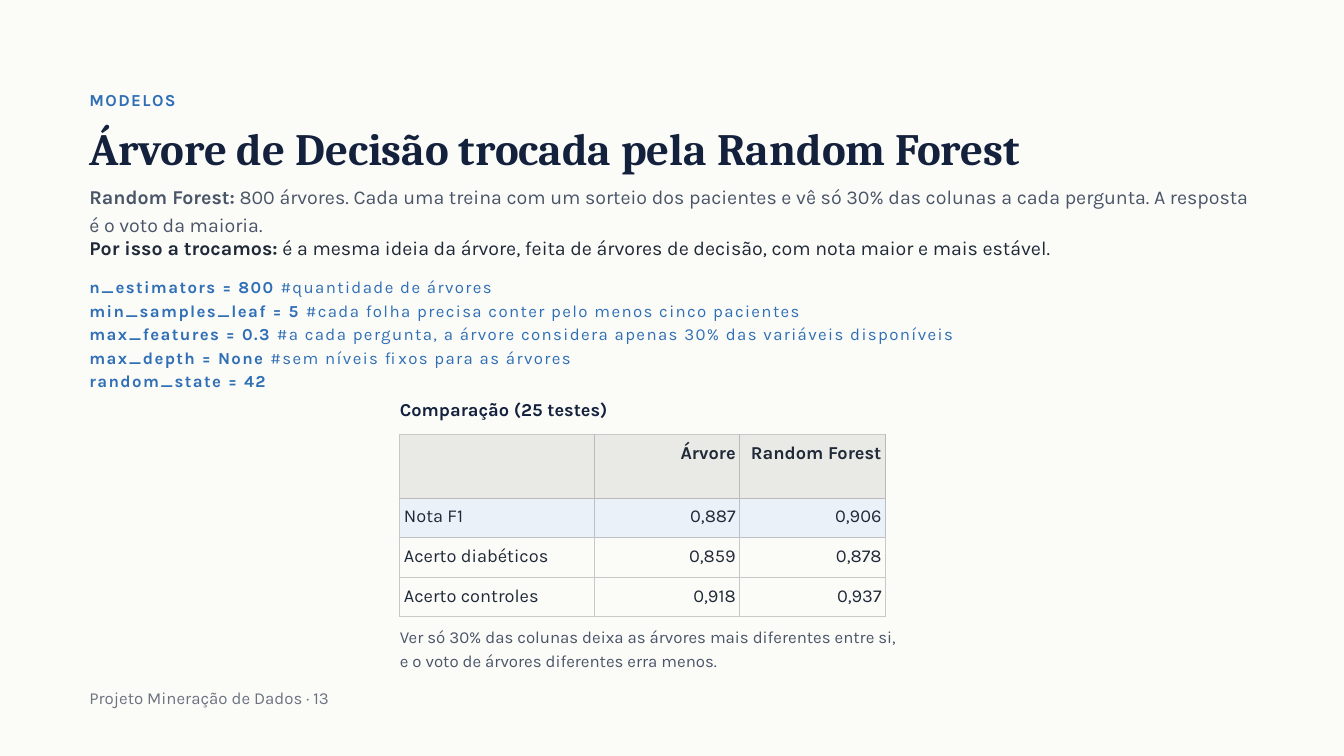
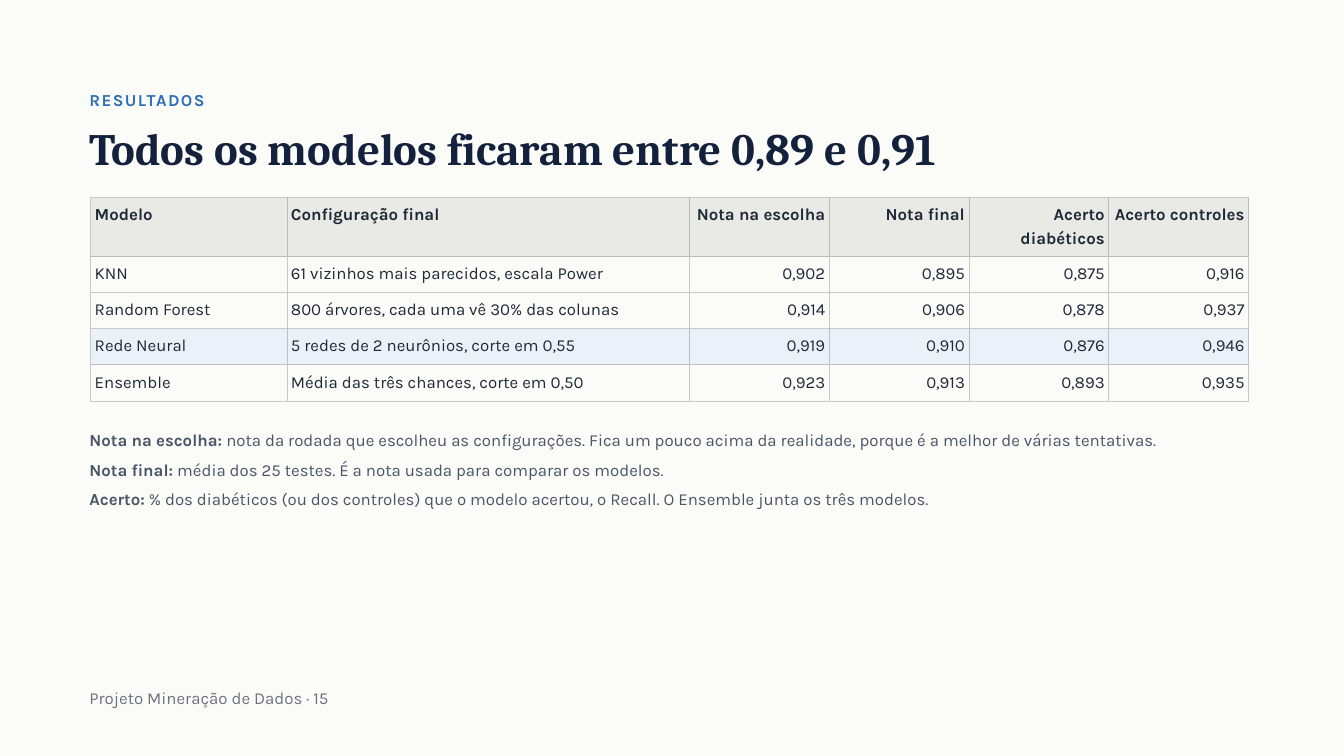
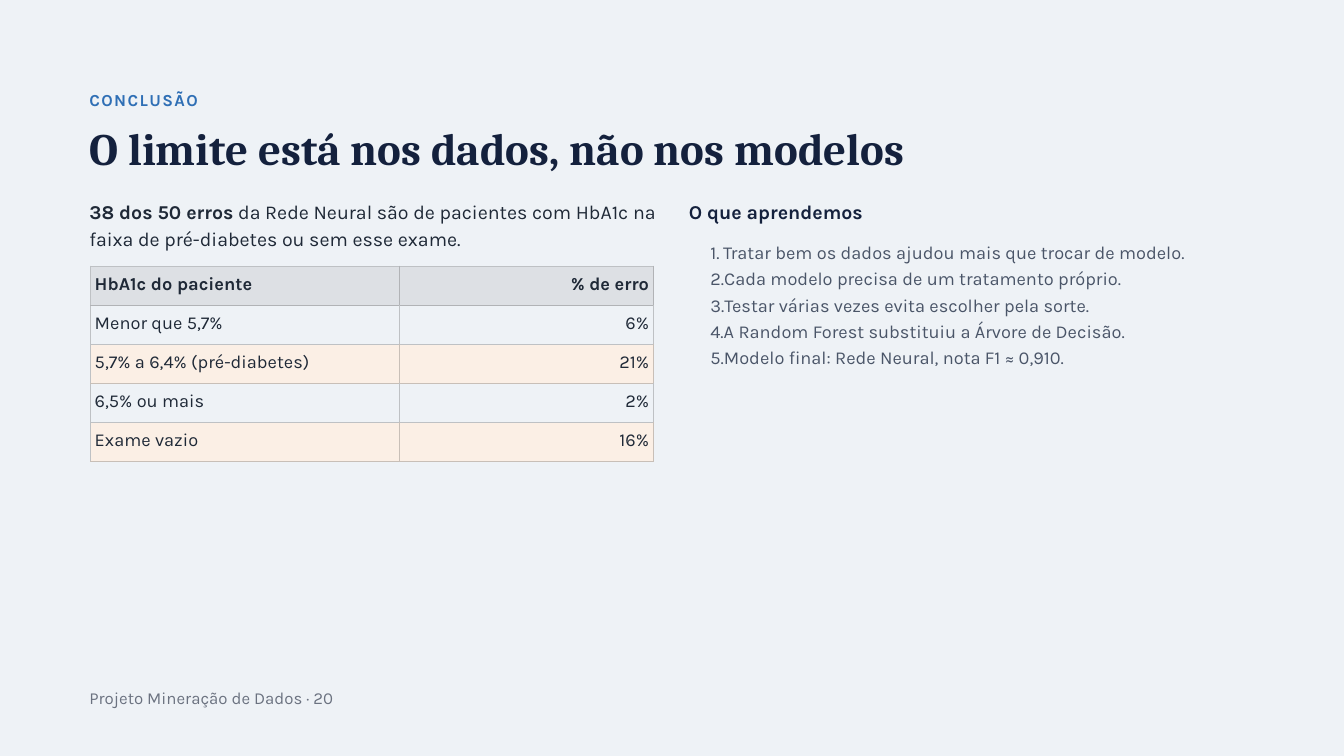
from lxml.etree import SubElement
from pptx import Presentation
from pptx.dml.color import RGBColor
from pptx.enum.text import MSO_ANCHOR, MSO_AUTO_SIZE, PP_ALIGN
from pptx.oxml.ns import qn
from pptx.util import Inches, Pt

COLORS = {
    "paper": "FBFBF8", "mist": "EEF2F6", "navy": "14213D", "blue": "2F6FB5",
    "ink": "1F2937", "slate": "4A5568", "gray": "6B7280",
}
PAPER_TABLE = {
    "plain": (None, "C8C8C6"), "header": ("E9E9E6", "BABAB8"),
    "highlight": ("EAF1F9", "BBC0C6"),
}
MIST_TABLE = {
    "plain": (None, "BEC1C4"), "header": ("DDE0E4", "B1B3B6"),
    "highlight": ("FBEFE5", "C8BFB7"),
}
GRID_COLUMNS, GRID_ROWS = 20, 11.25
LEFT, WIDTH = 1.33, 17.85
TITLE_ONLY, TITLE_AND_BODY = 5, 1


class Deck:
    """Holds the shared style and the slide being built."""

    def __init__(self):
        """Start an empty widescreen presentation."""
        self.presentation = Presentation()
        self.presentation.slide_width = Inches(20)
        self.presentation.slide_height = Inches(11.25)
        self.slide = None

    def across(self, columns):
        """Turn grid columns into a length."""
        return round(self.presentation.slide_width * columns / GRID_COLUMNS)

    def down(self, rows):
        """Turn grid rows into a length."""
        return round(self.presentation.slide_height * rows / GRID_ROWS)

    def box(self, left, top, width, height):
        """Turn a grid area into four lengths."""
        return self.across(left), self.down(top), self.across(width), self.down(height)

    def add_slide(self, section, title, number, background="paper", layout=TITLE_ONLY):
        """Open a slide with its section label, title and footer."""
        layouts = self.presentation.slide_layouts
        self.slide = self.presentation.slides.add_slide(layouts[layout])
        fill = self.slide.background.fill
        fill.solid()
        fill.fore_color.rgb = RGBColor.from_string(COLORS[background])
        self.text((LEFT, 1.29, WIDTH, 0.43), [[(section, True)]], 18, "blue", spacing=1.5)
        shape = self.slide.shapes.title
        self.place(shape, (LEFT, 1.86, WIDTH, 0.72))
        self.add_runs(shape.text_frame.paragraphs[0], [(title, True)], 48, "navy",
                      font="Cambria", leading=52.8)
        self.text((LEFT, 10.19, WIDTH, 0.34),
                  [[(f"Projeto Mineração de Dados · {number}", False)]], 18, "gray")

    def place(self, shape, area):
        """Position a text shape and remove its inner margins."""
        shape.left, shape.top, shape.width, shape.height = self.box(*area)
        frame = shape.text_frame
        frame.margin_left = frame.margin_right = frame.margin_top = frame.margin_bottom = 0
        frame.word_wrap = True
        frame.vertical_anchor = MSO_ANCHOR.TOP
        frame.auto_size = MSO_AUTO_SIZE.SHAPE_TO_FIT_TEXT

    def add_runs(self, paragraph, runs, size, color, font="Karla", leading=None,
                 spacing=0, align=PP_ALIGN.LEFT):
        """Fill a paragraph with (text, bold) runs."""
        paragraph.alignment = align
        paragraph.line_spacing = Pt(leading or round(size * 1.4, 1))
        paragraph.space_before = paragraph.space_after = Pt(0)
        for text, bold in runs:
            run = paragraph.add_run()
            run.text = text
            run.font.name = font
            run.font.size = Pt(size)
            run.font.bold = bold
            run.font.color.rgb = RGBColor.from_string(COLORS[color])
            if spacing:
                run._r.get_or_add_rPr().set("spc", str(round(spacing * 100)))

    def text(self, area, lines, size, color, spacing=0):
        """Add a text box with one paragraph per line."""
        shape = self.slide.shapes.add_textbox(*self.box(*area))
        self.place(shape, area)
        frame = shape.text_frame
        for index, runs in enumerate(lines):
            paragraph = frame.add_paragraph() if index else frame.paragraphs[0]
            self.add_runs(paragraph, runs, size, color, spacing=spacing)

    def numbered_list(self, area, items, size, color, leading):
        """Fill the body placeholder with a numbered list."""
        shape = self.slide.placeholders[1]
        self.place(shape, area)
        frame = shape.text_frame
        for index, item in enumerate(items):
            paragraph = frame.add_paragraph() if index else frame.paragraphs[0]
            paragraph.level = 1
            properties = paragraph._p.get_or_add_pPr()
            properties.set("marL", str(Inches(0.39)))
            properties.set("indent", str(Inches(-0.19)))
            SubElement(properties, qn("a:buFont"), typeface="Karla")
            SubElement(properties, qn("a:buAutoNum"), type="arabicPeriod")
            self.add_runs(paragraph, [(item, False)], size, color, leading=leading)

    def table(self, position, widths, header_height, row_height, rows, size,
              palette, highlights, left_columns=1):
        """Add a table whose first row is a header."""
        area = (*position, sum(widths), header_height + row_height * (len(rows) - 1))
        frame = self.slide.shapes.add_table(len(rows), len(widths), *self.box(*area))
        table = frame.table
        table.first_row = table.horz_banding = False
        for column, width in zip(table.columns, widths):
            column.width = self.across(width)
        plain_line = above = palette["plain"][1]
        for row_index, values in enumerate(rows):
            kind = "highlight" if row_index in highlights else "plain"
            fill, line = palette[kind if row_index else "header"]
            table.rows[row_index].height = self.down(row_height if row_index else header_height)
            for column_index, value in enumerate(values):
                cell = table.cell(row_index, column_index)
                before = line if column_index else plain_line
                self.style_cell(cell, fill, {"L": before, "R": line, "T": above, "B": line})
                if value:
                    align = PP_ALIGN.LEFT if column_index < left_columns else PP_ALIGN.RIGHT
                    self.add_runs(cell.text_frame.paragraphs[0], [(value, row_index == 0)],
                                  size, "ink", align=align)
            above = line

    def style_cell(self, cell, fill, borders):
        """Set the margins, borders and fill of a table cell."""
        cell.margin_left = cell.margin_right = Inches(0.06)
        cell.margin_top = cell.margin_bottom = Inches(0.06)
        properties = cell._tc.get_or_add_tcPr()
        for side, color in borders.items():
            border = SubElement(properties, qn(f"a:ln{side}"), w=str(Pt(1)))
            solid = SubElement(border, qn("a:solidFill"))
            SubElement(solid, qn("a:srgbClr"), val=color)
        if fill:
            cell.fill.solid()
            cell.fill.fore_color.rgb = RGBColor.from_string(fill)
        else:
            cell.fill.background()


def build_random_forest(deck):
    """Build the slide on the change of model."""
    deck.add_slide("MODELOS", "Árvore de Decisão trocada pela Random Forest", 13)
    deck.text((5.95, 5.87, 7.51, 0.46), [[("Comparação (25 testes)", True)]], 19.5, "navy")
    deck.table((5.95, 6.47), [2.89, 2.17, 2.17], 0.94, 0.59, [
        ["", "Árvore", "Random Forest"],
        ["Nota F1", "0,887", "0,906"],
        ["Acerto diabéticos", "0,859", "0,878"],
        ["Acerto controles", "0,918", "0,937"],
    ], 19.5, PAPER_TABLE, {1})
    deck.text((5.95, 9.28, 7.51, 0.78), [[(
        "Ver só 30% das colunas deixa as árvores mais diferentes entre si, "
        "e o voto de árvores diferentes erra menos.", False)]], 18, "slate")
    deck.text((LEFT, 4.07, WIDTH, 1.71), [
        [("n_estimators = 800 ", True), ("#quantidade de árvores", False)],
        [("min_samples_leaf = 5 ", True),
         ("#cada folha precisa conter pelo menos cinco pacientes", False)],
        [("max_features = 0.3 ", True),
         ("#a cada pergunta, a árvore considera apenas 30% das variáveis disponíveis", False)],
        [("max_depth = None ", True), ("#sem níveis fixos para as árvores", False)],
        [("random_state = 42", True)],
    ], 18, "blue", spacing=1.5)
    deck.text((LEFT, 2.7, 17.4, 0.81), [[("Random Forest:", True), (
        " 800 árvores. Cada uma treina com um sorteio dos pacientes e vê só 30% das colunas "
        "a cada pergunta. A resposta é o voto da maioria.", False)]], 21, "slate")
    deck.text((LEFT, 3.45, 17.4, 0.4), [[("Por isso a trocamos:", True), (
        " é a mesma ideia da árvore, feita de árvores de decisão, "
        "com nota maior e mais estável.", False)]], 21, "ink")


def build_results(deck):
    """Build the slide that compares all models."""
    deck.add_slide("RESULTADOS", "Todos os modelos ficaram entre 0,89 e 0,91", 15)
    deck.table((1.35, 2.94), [2.92, 5.99] + [2.08] * 4, 0.87, 0.54, [
        ["Modelo", "Configuração final", "Nota na escolha", "Nota final",
         "Acerto diabéticos", "Acerto controles"],
        ["KNN", "61 vizinhos mais parecidos, escala Power", "0,902", "0,895", "0,875", "0,916"],
        ["Random Forest", "800 árvores, cada uma vê 30% das colunas",
         "0,914", "0,906", "0,878", "0,937"],
        ["Rede Neural", "5 redes de 2 neurônios, corte em 0,55",
         "0,919", "0,910", "0,876", "0,946"],
        ["Ensemble", "Média das três chances, corte em 0,50",
         "0,923", "0,913", "0,893", "0,935"],
    ], 18, PAPER_TABLE, {3}, left_columns=2)
    definitions = [
        ("Nota na escolha:", " nota da rodada que escolheu as configurações. Fica um pouco "
         "acima da realidade, porque é a melhor de várias tentativas."),
        ("Nota final:", " média dos 25 testes. É a nota usada para comparar os modelos."),
        ("Acerto:", " % dos diabéticos (ou dos controles) que o modelo acertou, o Recall. "
         "O Ensemble junta os três modelos."),
    ]
    for index, (term, meaning) in enumerate(definitions):
        deck.text((LEFT, 6.35 + 0.44 * index, WIDTH, 0.43),
                  [[(term, True), (meaning, False)]], 18, "slate")


def build_conclusion(deck):
    """Build the slide with the conclusions."""
    deck.add_slide("CONCLUSÃO", "O limite está nos dados, não nos modelos", 20,
                   "mist", TITLE_AND_BODY)
    deck.text((LEFT, 2.91, 8.67, 0.91), [[("38 dos 50 erros", True), (
        " da Rede Neural são de pacientes com HbA1c na faixa de pré-diabetes "
        "ou sem esse exame.", False)]], 21, "ink")
    deck.table((1.35, 3.96), [4.6, 3.77], 0.58, 0.58, [
        ["HbA1c do paciente", "% de erro"],
        ["Menor que 5,7%", "6%"],
        ["5,7% a 6,4% (pré-diabetes)", "21%"],
        ["6,5% ou mais", "2%"],
        ["Exame vazio", "16%"],
    ], 19.5, MIST_TABLE, {2, 4})
    deck.text((10.25, 2.91, 8.67, 0.5), [[("O que aprendemos", True)]], 21, "navy")
    deck.numbered_list((10.37, 3.52, 8.54, 2.06), [
        "Tratar bem os dados ajudou mais que trocar de modelo.",
        "Cada modelo precisa de um tratamento próprio.",
        "Testar várias vezes evita escolher pela sorte.",
        "A Random Forest substituiu a Árvore de Decisão.",
        "Modelo final: Rede Neural, nota F1 ≈ 0,910.",
    ], 19.5, "slate", 28.3)


def main():
    """Build the three slides and save them."""
    deck = Deck()
    build_random_forest(deck)
    build_results(deck)
    build_conclusion(deck)
    deck.presentation.save("out.pptx")


if __name__ == "__main__":
    main()
